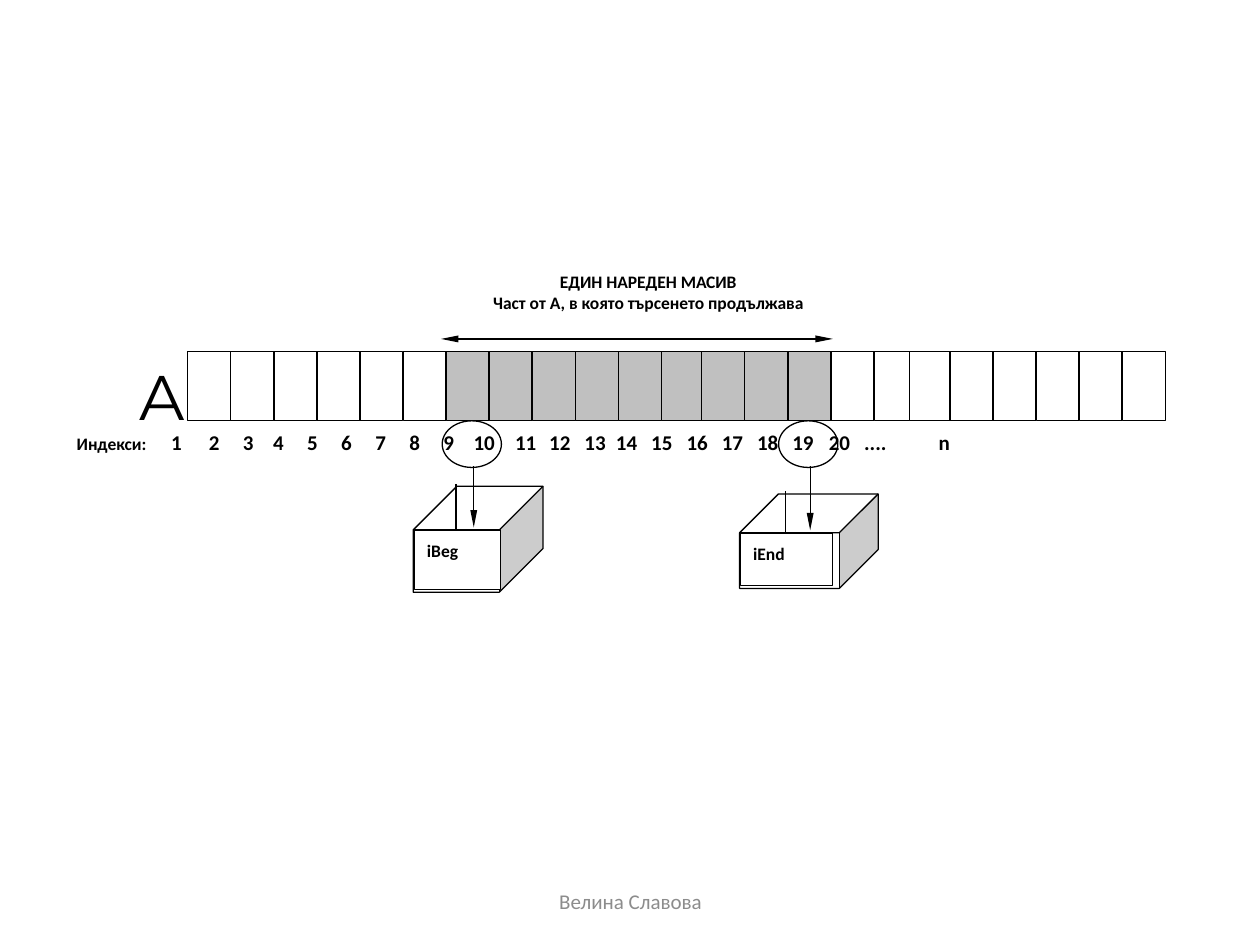
from lxml import etree
from pptx import Presentation
from pptx import util as u
from pptx.dml import color
from pptx.enum import shapes, text
from pptx.oxml import ns

BLACK, WHITE, GREY, FOOTER = "000000", "FFFFFF", "C0C0C0", "8C8C8C"
BOLD = {"size": u.Pt(10), "bold": True, "name": "Calibri"}
CENTER = text.PP_ALIGN.CENTER
CELL_RUNS = [(1.49, 12), (5.57, 5), (7.22, 1), (7.54, 5)]
CELL_STEP = 0.342
SHADED = range(6, 15)
INDEX_LABELS = [str(i) for i in range(1, 21)] + ["....", "n"]
INDEX_STOPS = [0.75, 1.05, 1.32, 1.56, 1.83, 2.1, 2.37, 2.64, 2.91, 3.15, 3.48,
               3.75, 4.03, 4.28, 4.56, 4.84, 5.12, 5.4, 5.68, 5.97, 6.25, 6.84]


def rgb(value):
    return color.RGBColor.from_string(value)


def inches(*values):
    return [u.Inches(v) for v in values]


def sub(parent, tag, **attrs):
    return etree.SubElement(parent, ns.qn(tag), attrs)


def add_run(p, content, fmt, hex_color=BLACK):
    r = p.add_run()
    r.text = content
    for name, value in fmt.items():
        setattr(r.font, name, value)
    r.font.color.rgb = rgb(hex_color)
    return r


def add_box(s, box, align=None, wrap=True):
    tf = s.shapes.add_textbox(*inches(*box)).text_frame
    tf.word_wrap = wrap
    tf.paragraphs[0].alignment = align
    return tf


def add_preset(s, kind, box, fill=None):
    sp = s.shapes.add_shape(kind, *inches(*box))
    sp.shadow.inherit = False
    if fill:
        sp.fill.solid()
        sp.fill.fore_color.rgb = rgb(fill)
    else:
        sp.fill.background()
    sp.line.color.rgb = rgb(BLACK)
    sp.line.width = u.Pt(0.75)
    return sp


def add_line(s, start, end, heads=()):
    line = s.shapes.add_connector(shapes.MSO_CONNECTOR.STRAIGHT, *inches(*start, *end))
    line.line.color.rgb = rgb(BLACK)
    line.line.width = u.Pt(0.75)
    ln = line.line._get_or_add_ln()
    for head in heads:
        sub(ln, head, type="triangle", w="sm", len="lg")
    sub(line._element.spPr, "a:effectLst")


def add_heading(s, box):
    tf = add_box(s, box, CENTER)
    add_run(tf.paragraphs[0], "ЕДИН НАРЕДЕН МАСИВ", BOLD)
    p = tf.add_paragraph()
    p.alignment = CENTER
    add_run(p, "Част от А, в която търсенето продължава", BOLD)


def add_array(s, top, height):
    lefts = [start + i * CELL_STEP for start, count in CELL_RUNS for i in range(count)]
    for i, left in enumerate(lefts):
        add_preset(s, shapes.MSO_SHAPE.RECTANGLE, (left, top, 0.34, height),
                   GREY if i in SHADED else WHITE)
    add_line(s, (3.5, top - 0.1), (6.61, top - 0.1), ("a:headEnd", "a:tailEnd"))
    tf = add_box(s, (1, top, 0.31, height), CENTER, wrap=False)
    r = add_run(tf.paragraphs[0], "А", {"size": u.Pt(36), "name": "Montserrat"})
    outline = etree.Element(ns.qn("a:ln"), w=str(u.Pt(0.75)))
    sub(sub(outline, "a:solidFill"), "a:srgbClr", val=BLACK)
    r.font._element.insert(0, outline)


def add_indexes(s, box):
    p = add_box(s, box).paragraphs[0]
    tabs = sub(p._p.get_or_add_pPr(), "a:tabLst")
    for stop in INDEX_STOPS:
        sub(tabs, "a:tab", pos=str(u.Inches(stop)), algn="l")
    add_run(p, "Индекси:", BOLD)
    add_run(p, "".join("\t" + label for label in INDEX_LABELS),
            {**BOLD, "size": u.Pt(12)})


def add_pointer(s, box, label, front_width, oval_left):
    left, top, width, height = box
    cube = add_preset(s, shapes.MSO_SHAPE.CUBE, box, WHITE)
    cube.adjustments[0] = 0.412
    front_top = top + 0.412 * min(width, height)
    back_edge = left + front_width / 2
    add_line(s, (back_edge, top - 0.02), (back_edge, front_top))
    front = add_preset(s, shapes.MSO_SHAPE.RECTANGLE,
                       (left + 0.01, front_top, front_width,
                        top + height - front_top - 0.02), WHITE)
    tf = front.text_frame
    for name, value in {"word_wrap": True, "margin_top": u.Inches(0.08),
                        "vertical_anchor": text.MSO_ANCHOR.TOP}.items():
        setattr(tf, name, value)
    p = tf.paragraphs[0]
    p.alignment = text.PP_ALIGN.LEFT
    add_run(p, label, BOLD)
    add_preset(s, shapes.MSO_SHAPE.OVAL, (oval_left, 3.34, 0.47, 0.37))
    arrow_x = oval_left + 0.25
    add_line(s, (arrow_x, 3.7), (arrow_x, front_top - 0.02), ("a:tailEnd",))


def add_footer(s, box):
    tf = add_box(s, box, CENTER)
    tf.vertical_anchor = text.MSO_ANCHOR.MIDDLE
    add_run(tf.paragraphs[0], "Велина Славова",
            {"size": u.Pt(12), "name": "Calibri"}, FOOTER)


def main():
    prs = Presentation()
    prs.slide_width, prs.slide_height = inches(10, 7.5)
    s = prs.slides.add_slide(prs.slide_layouts[6])
    add_indexes(s, (0.51, 3.36, 8.81, 0.35))
    add_heading(s, (3.16, 2.1, 3.97, 0.73))
    add_array(s, 2.79, 0.55)
    add_pointer(s, (3.28, 3.86, 1.03, 0.84), "iBeg", 0.68, 3.51)
    add_pointer(s, (5.87, 3.92, 1.1, 0.75), "iEnd", 0.73, 6.18)
    add_footer(s, (3.42, 6.95, 3.17, 0.4))
    prs.save("out.pptx")


if __name__ == "__main__":
    main()
